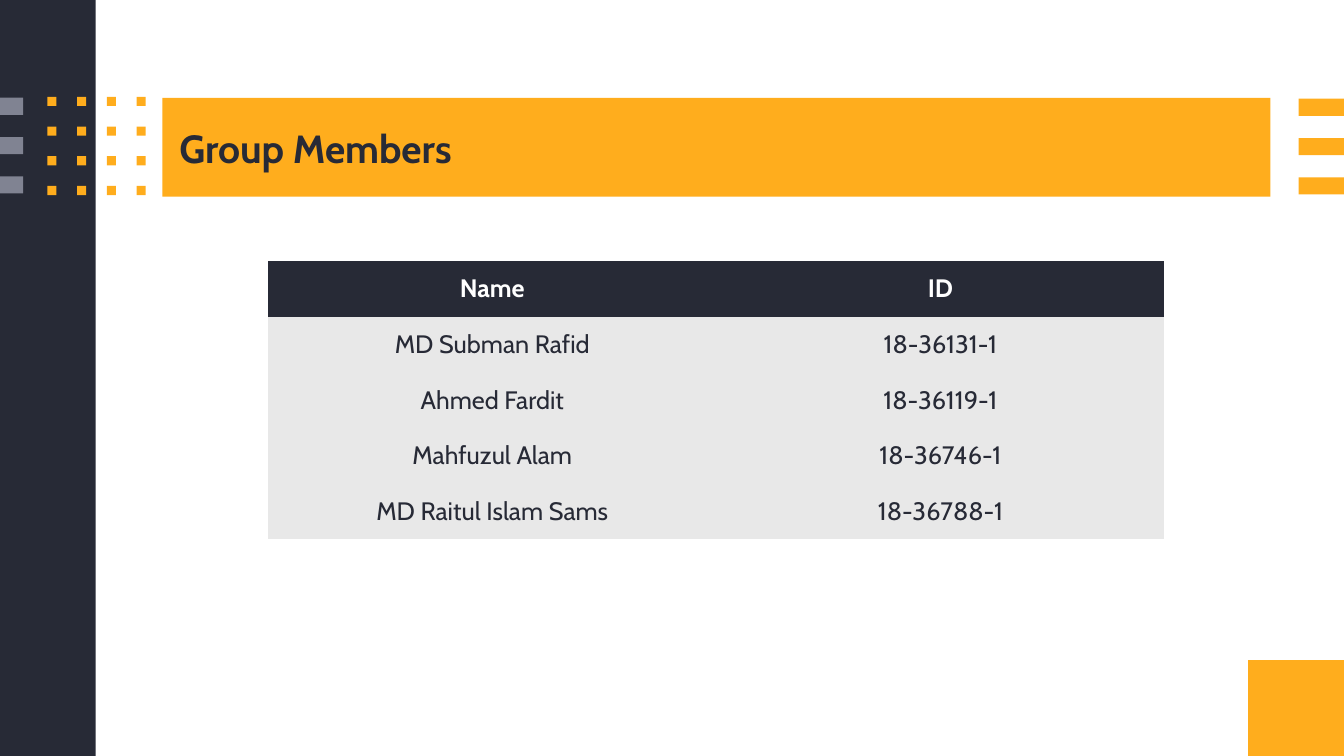
from itertools import product

from pptx import Presentation
from pptx.dml.color import RGBColor as RGB
from pptx.enum.shapes import MSO_SHAPE as Shape
from pptx.enum.text import MSO_ANCHOR as Anchor, PP_ALIGN as Align
from pptx.util import Inches, Pt

GOLD = RGB(0xFF, 0xAD, 0x1D)
NAVY = RGB(0x27, 0x2A, 0x36)
GREY = RGB(0x80, 0x83, 0x92)
PALE = RGB(0xE8, 0xE8, 0xE8)
WHITE = RGB(0xFF, 0xFF, 0xFF)
WIDE, HIGH = 13.33, 7.5
SIDE = 0.95
PLAIN = "{2D5ABB26-0587-4C30-8999-92F81FD0307C}"  # no style, no grid

deck = Presentation()
deck.slide_width, deck.slide_height = Inches(WIDE), Inches(HIGH)
slide = deck.slides.add_slide(deck.slide_layouts[6])


def block(left, top, width, height, color):
    box = slide.shapes.add_shape(Shape.RECTANGLE, *map(Inches, (left, top, width, height)))
    box.shadow.inherit = False
    box.fill.solid()
    box.fill.fore_color.rgb = color
    box.line.fill.background()


def write(frame, text, **look):
    """Put one formatted line of text in the frame."""
    run = frame.paragraphs[0].add_run()
    run.text = text
    run.font.color.rgb = look.pop("color")
    for key, value in {"name": "Cabin", **look}.items():
        setattr(run.font, key, value)


# Side band and corner square
block(WIDE - SIDE, HIGH - SIDE, SIDE, SIDE, GOLD)
block(0, 0, SIDE, HIGH, NAVY)

# Bars at both edges
for row in range(3):
    block(0, 0.97 + row * 0.39, 0.23, 0.17, GREY)
    block(WIDE - 0.45, 0.98 + row * 0.39, 0.45, 0.17, GOLD)

# Dot grid
for row, col in product(range(4), repeat=2):
    block(0.47 + col * 0.295, 0.96 + row * 0.295, 0.09, 0.09, GOLD)

# Title
block(1.61, 0.97, 10.99, 0.98, GOLD)
title = slide.shapes.add_textbox(*map(Inches, (1.68, 1.18, 10.92, 0.57))).text_frame
title.word_wrap = True
title.vertical_anchor = Anchor.MIDDLE
write(title, "Group Members", size=Pt(28), bold=True, color=NAVY)

# Members
members = [
    ("Name", "ID"),
    ("MD Subman Rafid", "18-36131-1"),
    ("Ahmed Fardit", "18-36119-1"),
    ("Mahfuzul Alam", "18-36746-1"),
    ("MD Raitul Islam Sams", "18-36788-1"),
]
frame = slide.shapes.add_table(len(members), 2, *map(Inches, (2.66, 2.59, 8.89, 2.76)))
table = frame.table
table.horz_banding = False
table._tbl.tblPr.find("{*}tableStyleId").text = PLAIN
for row, member in enumerate(members):
    head = row == 0
    for col, text in enumerate(member):
        cell = table.cell(row, col)
        cell.fill.solid()
        cell.fill.fore_color.rgb = NAVY if head else PALE
        cell.vertical_anchor = Anchor.MIDDLE
        cell.text_frame.paragraphs[0].alignment = Align.CENTER
        write(cell.text_frame, text, size=Pt(18), bold=head, color=WHITE if head else NAVY)

deck.save("out.pptx")
